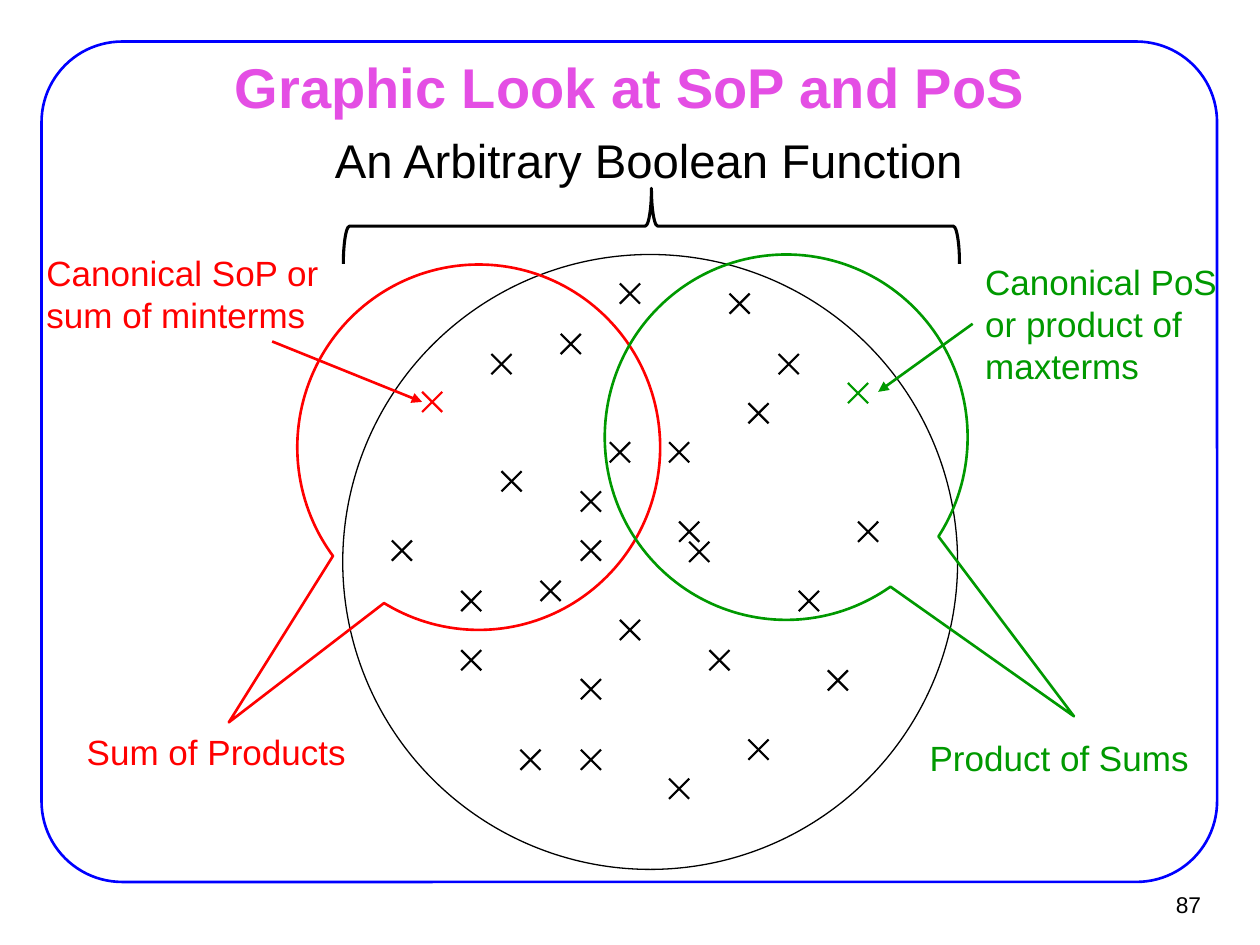
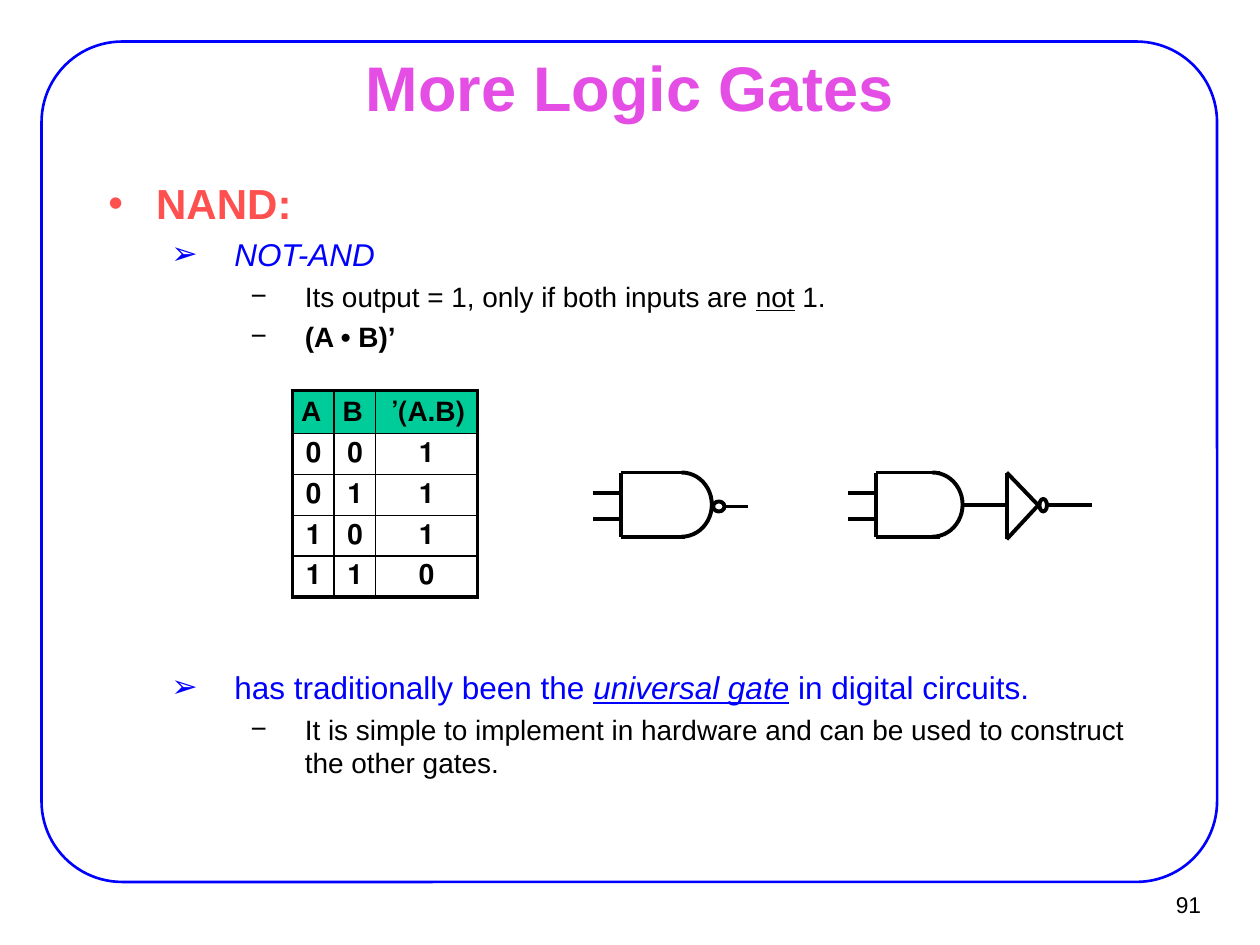
from math import cos, pi, sin

from lxml import etree
from pptx import Presentation
from pptx.dml.color import RGBColor
from pptx.enum.shapes import MSO_CONNECTOR, MSO_SHAPE as SHAPE
from pptx.enum.text import MSO_ANCHOR as ANCHOR, MSO_AUTO_SIZE as AUTO, PP_ALIGN as ALIGN
from pptx.oxml.ns import qn
from pptx.util import Inches, Pt

FONT = "Arial"
BLACK = RGBColor(0x00, 0x00, 0x00)
WHITE = RGBColor(0xFF, 0xFF, 0xFF)
BLUE = RGBColor(0x00, 0x00, 0xFF)
RED = RGBColor(0xFF, 0x00, 0x00)
GREEN = RGBColor(0x00, 0x99, 0x00)
PINK = RGBColor(0xE4, 0x4E, 0xE4)
CORAL = RGBColor(0xFF, 0x50, 0x50)
TEAL = RGBColor(0x00, 0xCC, 0x99)

# Slide 1: labels are (text, box, size, colour); crosses are left, top corners
LABELS = [
    ("An Arbitrary Boolean Function", (2.56, 0.99, 5.45, 0.56), 27, BLACK),
    ("Product of Sums", (7.28, 5.8, 2.44, 0.44), 20, GREEN),
    ("Sum of Products", (0.59, 5.75, 2.44, 0.44), 20, RED),
    ("Canonical SoP or\nsum of minterms", (0.27, 1.95, 2.36, 0.77), 20, RED),
    ("Canonical PoS or product of maxterms", (7.72, 2.02, 2.28, 1.11), 20, GREEN),
]
CROSS = 0.16
CROSSES = {
    BLACK: [
        (4.45, 2.65), (4.84, 3.51), (4.92, 2.25), (4.61, 3.9), (6.18, 2.81), (4.61, 4.29),
        (4.92, 4.92), (3.98, 3.74), (4.29, 4.61), (3.66, 5.16), (4.61, 5.39), (4.13, 5.95),
        (5.63, 5.16), (4.61, 5.95), (5.31, 3.51), (6.34, 4.69), (5.39, 4.14), (5.94, 3.2),
        (3.11, 4.29), (6.81, 4.14), (5.31, 6.18), (5.94, 5.87), (6.57, 5.32), (3.9, 2.81),
        (5.47, 4.3), (5.79, 2.33), (3.66, 4.69),
    ],
    RED: [(3.35, 3.11)],
    GREEN: [(6.73, 3.04)],
}
CALLOUTS = [
    ((2.36, 2.1, 2.88, 2.9), (-0.689, 0.753), RED),
    ((4.8, 2.02, 2.88, 2.9), (0.793, 0.764), GREEN),
]
ARROWS = [((7.72, 2.57), (6.97, 3.11), GREEN), ((2.16, 2.71), (3.35, 3.19), RED)]

# Slide 2: bullets are (level, space before or None for the usual, runs of (text, styles))
LEVELS = [  # left margin, hanging indent, bullet, size, colour
    (0.38, 0.38, "•", 24, CORAL),
    (1.0, 0.5, "➢", 18, BLUE),
    (1.56, 0.43, "−", 16, BLACK),
]
TABLE_GAP = 180
BULLETS = [
    (0, 0, [("NAND:", "b")]),
    (1, None, [("NOT-AND", "i")]),
    (2, None, [("Its output = 1, only if both inputs are ", ""), ("not", "u"), (" 1.", "")]),
    (2, None, [("(A • B)’", "b")]),
    (1, TABLE_GAP, [("has traditionally been the ", ""), ("universal gate", "iu"),
                    (" in digital circuits.", "")]),
    (2, None, [("It is simple to implement in hardware and can be used to construct "
                "the other gates.", "")]),
]
TRUTH_TABLE = ["A B (A.B)’", "0 0 1", "0 1 1", "1 0 1", "1 1 0"]
TABLE_COLS = (0.33, 0.33, 0.81)
HEAD_H, ROW_H = 0.34, 0.325
GATE_TOP, GATE_MID, GATE_BOTTOM = 3.75, 4.01, 4.26


def box_of(box):
    return [Inches(v) for v in box]


def style(p, size, color, bold=None):
    for r in p.runs:
        r.font.name, r.font.size, r.font.bold = FONT, Pt(size), bold
        r.font.color.rgb = color


def add_text(s, text, box, size, color, align=ALIGN.LEFT):
    tb = s.shapes.add_textbox(*box_of(box))
    tf = tb.text_frame
    tf.word_wrap = True
    tf.text = text
    for p in tf.paragraphs:
        p.alignment = align
        style(p, size, color)
    return tf


def add_outline(shapes, kind, box, color, width, adj=(), fill=None):
    sp = shapes.add_shape(kind, *box_of(box))
    for i, value in enumerate(adj):
        sp.adjustments[i] = value
    draw_line(sp, color, width)
    if fill is not None:
        sp.fill.solid()
        sp.fill.fore_color.rgb = fill
    return sp


def draw_line(sp, color, width):
    sp.shadow.inherit = False
    sp.fill.background()
    sp.line.color.rgb, sp.line.width = color, Pt(width)


def add_line(shapes, start, end, color, width, arrow=False):
    line = shapes.add_connector(MSO_CONNECTOR.STRAIGHT, *box_of(start + end))
    line.line.color.rgb, line.line.width = color, Pt(width)
    if arrow:
        etree.SubElement(line.line._get_or_add_ln(), qn("a:tailEnd"), type="triangle")
    etree.SubElement(line._element.spPr, qn("a:effectLst"))


def add_slide(prs, title, size, number):
    s = prs.slides.add_slide(prs.slide_layouts[5])
    sp = s.shapes.title
    sp.left, sp.top, sp.width, sp.height = box_of((0.12, 0.44, 9.76, 0.49))
    tf = sp.text_frame
    tf.text = title
    tf.auto_size, tf.vertical_anchor = AUTO.NONE, ANCHOR.MIDDLE
    tf.margin_top = tf.margin_bottom = Inches(0.06)
    tf.paragraphs[0].alignment = ALIGN.CENTER
    style(tf.paragraphs[0], size, PINK, True)
    tf = add_text(s, str(number), (9.02, 6.99, 0.61, 0.37), 13, BLACK, ALIGN.RIGHT)
    tf.vertical_anchor = ANCHOR.MIDDLE
    return s


def add_master_frame(prs, s):
    """Draw the blue frame and move it to the master, so every slide shows it."""
    frame = add_outline(s.shapes, SHAPE.ROUNDED_RECTANGLE, (0.33, 0.33, 9.33, 6.67),
                        BLUE, 1.5, [0.096])
    prs.slide_master.shapes._spTree.insert(2, frame._element)


def build_venn(s):
    shapes = s.shapes
    add_outline(shapes, SHAPE.OVAL, (2.72, 2.02, 4.88, 4.88), BLACK, 0.75, fill=WHITE)
    for color, corners in CROSSES.items():
        for x, y in corners:
            add_line(shapes, (x, y), (x + CROSS, y + CROSS), color, 1.25)
            add_line(shapes, (x + CROSS, y), (x, y + CROSS), color, 1.25)
    brace = add_outline(shapes, SHAPE.LEFT_BRACE, (4.87, -0.65, 0.6, 4.89), BLACK, 1.75,
                        (0.083, 0.5))
    brace.rotation = 90
    for box, tip, color in CALLOUTS:
        add_outline(shapes, SHAPE.OVAL_CALLOUT, box, color, 1.5, tip)
    for label in LABELS:
        add_text(s, *label)
    for start, end, color in ARROWS:
        add_line(shapes, start, end, color, 1.5, arrow=True)


def add_bullets(s):
    tf = s.shapes.add_textbox(*box_of((0.75, 1.36, 8.5, 5.08))).text_frame
    tf.word_wrap = True
    tf.margin_left = tf.margin_right = Inches(0.11)
    for i, (level, gap, runs) in enumerate(BULLETS):
        p = tf.add_paragraph() if i else tf.paragraphs[0]
        margin, hang, bullet, size, color = LEVELS[level]
        p.level = level
        pPr = p._p.get_or_add_pPr()
        pPr.set("marL", str(Inches(margin)))
        pPr.set("indent", str(-Inches(hang)))
        etree.SubElement(pPr, qn("a:buFont"), typeface=FONT)
        etree.SubElement(pPr, qn("a:buChar"), char=bullet)
        p.space_before = Pt(round(0.23 * size, 1) if gap is None else gap)
        for text, marks in runs:
            r = p.add_run()
            r.text = text
            r.font.italic, r.font.underline = "i" in marks, "u" in marks
        style(p, size, color)
        for r, (_, marks) in zip(p.runs, runs):
            r.font.bold = "b" in marks


def set_borders(cell, widths):
    tcPr = cell._tc.get_or_add_tcPr()
    for side, width in zip("LRTB", widths):
        ln = etree.SubElement(tcPr, qn(f"a:ln{side}"), w=str(Pt(width)))
        fill = etree.SubElement(ln, qn("a:solidFill"))
        etree.SubElement(fill, qn("a:srgbClr"), val=str(BLACK))


def add_truth_table(s):
    rows = [line.split() for line in TRUTH_TABLE]
    last_row, last_col = len(rows) - 1, len(TABLE_COLS) - 1
    height = HEAD_H + last_row * ROW_H
    table = s.shapes.add_table(len(rows), len(TABLE_COLS),
                               *box_of((2.32, 3.1, sum(TABLE_COLS), height))).table
    table.first_row = table.horz_banding = False
    for col, width in zip(table.columns, TABLE_COLS):
        col.width = Inches(width)
    for i, values in enumerate(rows):
        table.rows[i].height = Inches(ROW_H if i else HEAD_H)
        for j, value in enumerate(values):
            cell = table.cell(i, j)
            rims = (j == 0, j == last_col, i == 0, i == last_row)
            set_borders(cell, [2.25 if rim else 1 for rim in rims])
            if i:
                cell.fill.background()
            else:
                cell.fill.solid()
                cell.fill.fore_color.rgb = TEAL
            cell.margin_top = cell.margin_bottom = Inches(0.02)
            cell.vertical_anchor = ANCHOR.MIDDLE
            cell.text = value
            p = cell.text_frame.paragraphs[0]
            p.alignment = ALIGN.CENTER if i and j == last_col else ALIGN.RIGHT
            p._p.get_or_add_pPr().set("rtl", "1")
            style(p, 16, BLACK, True)


def add_wires(shapes, wires):
    for x1, y1, x2, y2 in wires:
        add_line(shapes, (x1, y1), (x2, y2), BLACK, 2.25)


def add_and_gate(shapes, left, nose):
    """Draw two inputs and a D-shaped body whose round nose starts at x = nose."""
    back, flat_end = left + 0.22, left + 0.73
    add_wires(shapes, [
        (left, 3.91, back, 3.91), (left, 4.12, back, 4.12),
        (back, GATE_TOP, flat_end, GATE_TOP), (back, GATE_TOP, back, GATE_BOTTOM),
        (back, GATE_BOTTOM, flat_end, GATE_BOTTOM),
    ])
    mid, radius, steps = (GATE_TOP + GATE_BOTTOM) / 2, (GATE_BOTTOM - GATE_TOP) / 2, 24
    angles = [pi * k / steps - pi / 2 for k in range(steps + 1)]
    arc = [(Inches(nose + 0.24 * cos(a)), Inches(mid + radius * sin(a))) for a in angles]
    builder = shapes.build_freeform(*arc[0])
    builder.add_line_segments(arc[1:], close=False)
    draw_line(builder.convert_to_shape(), BLACK, 2.25)


def build_gates(s):
    add_bullets(s)
    add_truth_table(s)

    nand = s.shapes.add_group_shape().shapes
    add_and_gate(nand, 4.71, 5.41)
    add_outline(nand, SHAPE.OVAL, (5.66, 3.98, 0.09, 0.08), BLACK, 2.25)
    add_wires(nand, [(5.76, 4.02, 5.94, 4.02)])

    and_not = s.shapes.add_group_shape().shapes
    add_and_gate(and_not, 6.73, 7.4)
    back, tip = 7.99, 8.24
    add_wires(and_not, [
        (7.65, GATE_MID, back, GATE_MID), (back, GATE_TOP, tip, GATE_MID),
        (back, 4.28, tip, GATE_MID), (back, 4.28, back, GATE_TOP),
        (8.32, GATE_MID, 8.67, GATE_MID),
    ])
    add_outline(and_not, SHAPE.OVAL, (8.25, 3.96, 0.06, 0.1), BLACK, 2.25)


def main():
    prs = Presentation()
    prs.slide_width, prs.slide_height = Inches(10), Inches(7.5)
    venn = add_slide(prs, "Graphic Look at SoP and PoS", 32, 87)
    add_master_frame(prs, venn)
    build_venn(venn)
    build_gates(add_slide(prs, "More Logic Gates", 36, 91))
    prs.save("out.pptx")


if __name__ == "__main__":
    main()
